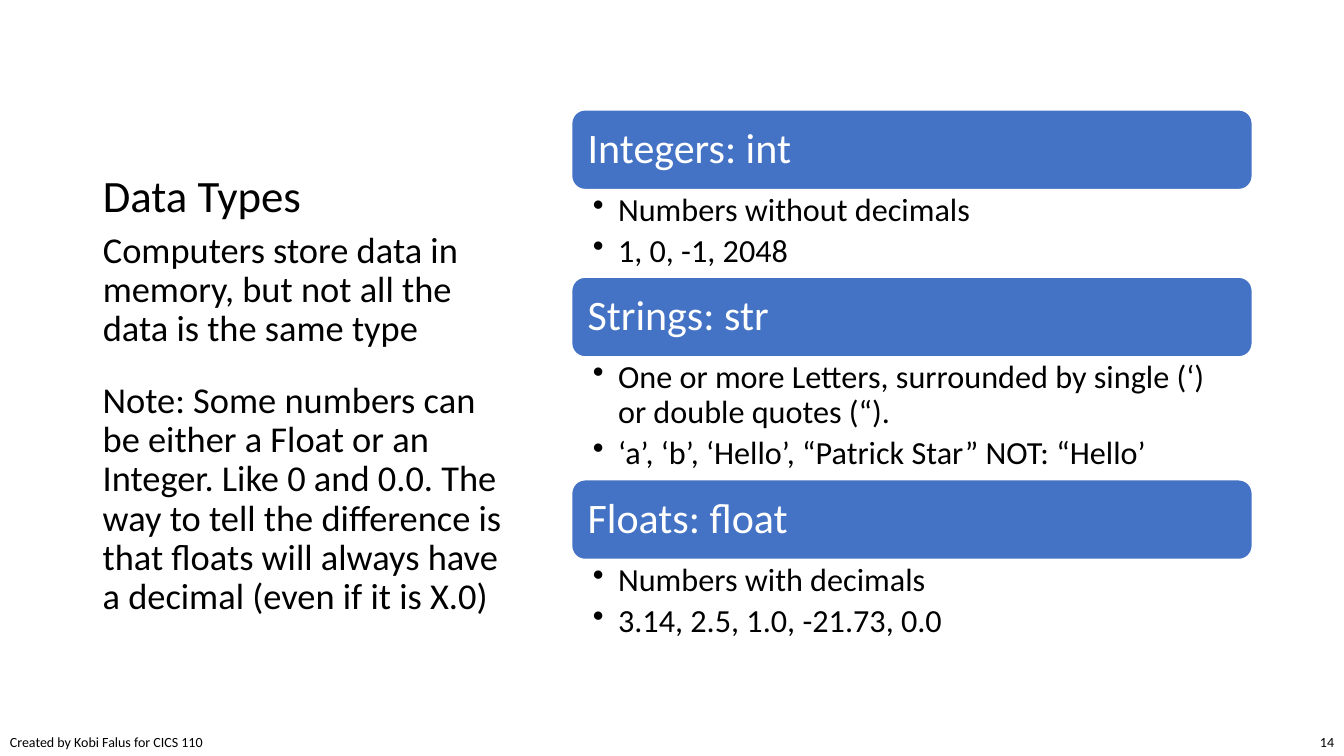
import pptx
import pptx.util
import pptx.dml.color
import pptx.enum.shapes
import pptx.enum.text
import lxml.etree
import dataclasses


@dataclasses.dataclass(frozen=True)
class Theme:
    font: str = "Calibri"
    ink: str = "000000"
    paper: str = "FFFFFF"
    accent: str = "4472C4"
    title: int = 32
    body: int = 26
    heading: int = 30
    bullet: int = 23
    footer: int = 10


theme = Theme()
inch = pptx.util.Inches
align = pptx.enum.text.PP_ALIGN
anchor = pptx.enum.text.MSO_ANCHOR


def prepare(shape, area, insets=(0.1, 0.05, 0.1, 0.05), anchored=anchor.TOP, wrap=True):
    shape.left, shape.top, shape.width, shape.height = map(inch, area)
    frame = shape.text_frame
    frame.auto_size = pptx.enum.text.MSO_AUTO_SIZE.NONE
    frame.word_wrap = wrap
    frame.vertical_anchor = anchored
    frame.margin_left, frame.margin_top, frame.margin_right, frame.margin_bottom = map(inch, insets)
    return frame


def write(para, text, size, color=theme.ink, spacing=0.9, alignment=align.LEFT):
    para.alignment = alignment
    para.line_spacing = spacing
    para.space_before = pptx.util.Pt(0)
    span = para.add_run()
    span.text = text
    span.font.name = theme.font
    span.font.size = pptx.util.Pt(size)
    span.font.bold = False
    span.font.color.rgb = pptx.dml.color.RGBColor.from_string(color)


slide_width, slide_height = 13.33, 7.5
deck = pptx.Presentation()
deck.slide_width, deck.slide_height = inch(slide_width), inch(slide_height)
page = deck.slides.add_slide(deck.slide_layouts.get_by_name("Content with Caption"))
title = page.shapes.title
unused, intro = [box for box in page.placeholders if box != title]
unused.element.getparent().remove(unused.element)

left_column, left_width = 0.92, 4.3
right_column, right_width = 5.67, 6.75

frame = prepare(title, (left_column, 0.5, left_width, 1.75), anchored=anchor.BOTTOM)
write(frame.paragraphs[0], "Data Types", theme.title)

note = page.shapes.add_textbox(0, 0, 0, 0)
passages = [
    (intro, 2.25, 1.5, "Computers store data in memory, but not all the data is the same type"),
    (note, 3.74, 2.57, "Note: Some numbers can be either a Float or an Integer. Like 0 and 0.0. "
     "The way to tell the difference is that floats will always have a decimal (even if it is X.0)"),
]
for box, top, height, text in passages:
    frame = prepare(box, (left_column, top, left_width, height))
    write(frame.paragraphs[0], text, theme.body)

data_types = [
    ("Integers: int", 0.87, ["Numbers without decimals", "1, 0, -1, 2048"]),
    ("Strings: str", 1.22, ["One or more Letters, surrounded by single (‘) or double quotes (“).",
                            "‘a’, ‘b’, ‘Hello’, “Patrick Star” NOT: “Hello’"]),
    ("Floats: float", 0.87, ["Numbers with decimals", "3.14, 2.5, 1.0, -21.73, 0.0"]),
]
heading_height = 0.79
top = 1.09
for heading, list_height, points in data_types:
    bar = page.shapes.add_shape(pptx.enum.shapes.MSO_SHAPE.ROUNDED_RECTANGLE, 0, 0, 0, 0)
    bar.shadow.inherit = False
    bar.fill.solid()
    bar.fill.fore_color.rgb = pptx.dml.color.RGBColor.from_string(theme.accent)
    bar.line.color.rgb = pptx.dml.color.RGBColor.from_string(theme.paper)
    bar.line.width = pptx.util.Pt(1)
    frame = prepare(bar, (right_column, top, right_width, heading_height),
                    (0.12, 0.12, 0.12, 0.12), anchor.MIDDLE)
    write(frame.paragraphs[0], heading, theme.heading, theme.paper)
    top += heading_height

    listing = page.shapes.add_textbox(0, 0, 0, 0)
    frame = prepare(listing, (right_column, top, right_width, list_height), (0.21, 0.04, 0.23, 0.04))
    for index, point in enumerate(points):
        para = frame.add_paragraph() if index else frame.paragraphs[0]
        write(para, point, theme.bullet)
        para.space_after = pptx.util.Pt(theme.bullet * 0.2)
        properties = para._p.get_or_add_pPr()
        properties.set("marL", str(inch(0.25)))
        properties.set("indent", str(-inch(0.25)))
        bullet = lxml.etree.SubElement(properties, pptx.oxml.ns.qn("a:buChar"))
        bullet.set("char", "•")
    top += list_height

footer_height = 0.27
footers = [
    (0, 2.15, "Created by Kobi Falus for CICS 110", align.LEFT),
    (slide_width - 0.55, 0.55, "14", align.RIGHT),
]
for left, width, text, alignment in footers:
    box = page.shapes.add_textbox(0, 0, 0, 0)
    frame = prepare(box, (left, slide_height - footer_height, width, footer_height), wrap=alignment == align.RIGHT)
    write(frame.paragraphs[0], text, theme.footer, spacing=1.0, alignment=alignment)

deck.save("out.pptx")
